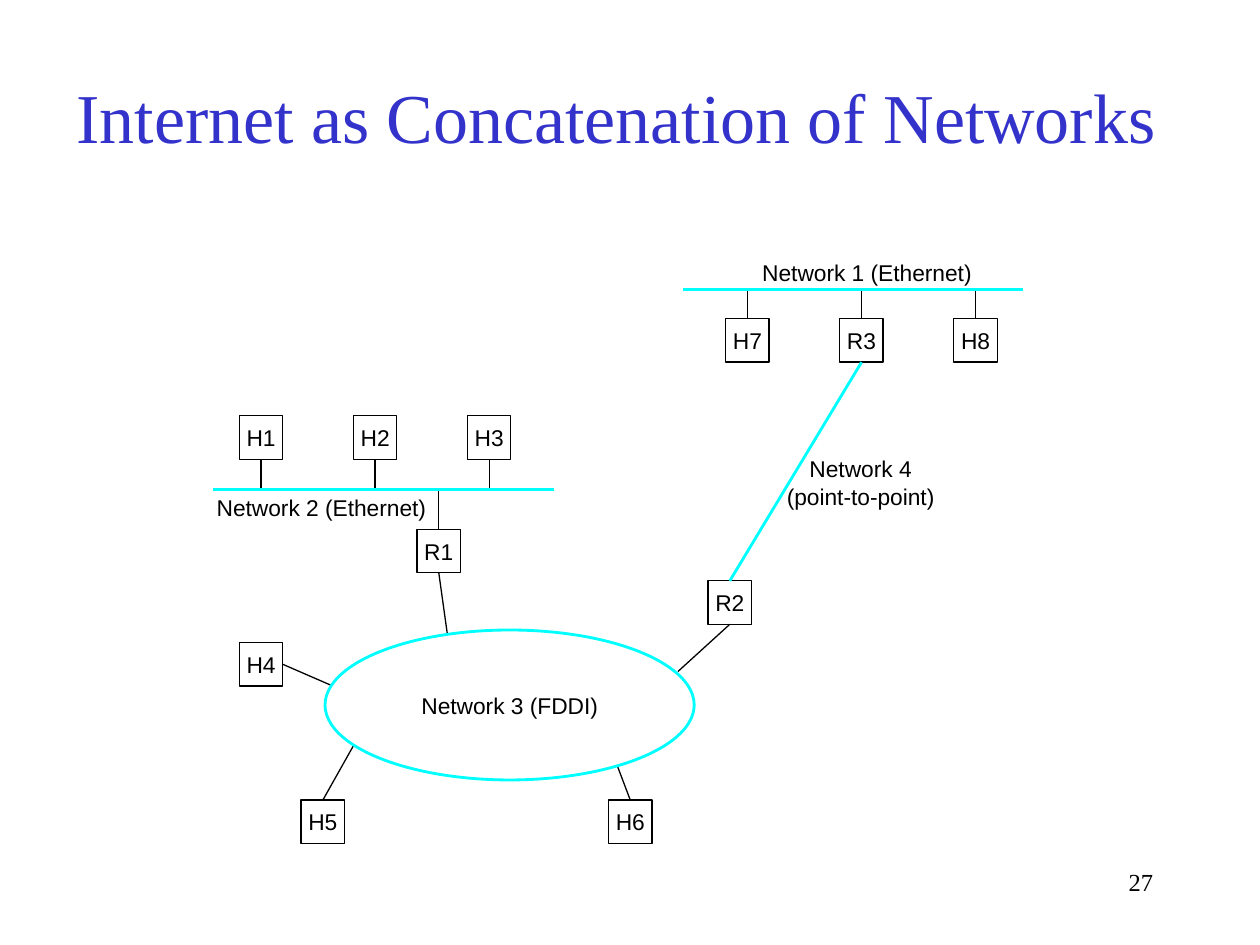
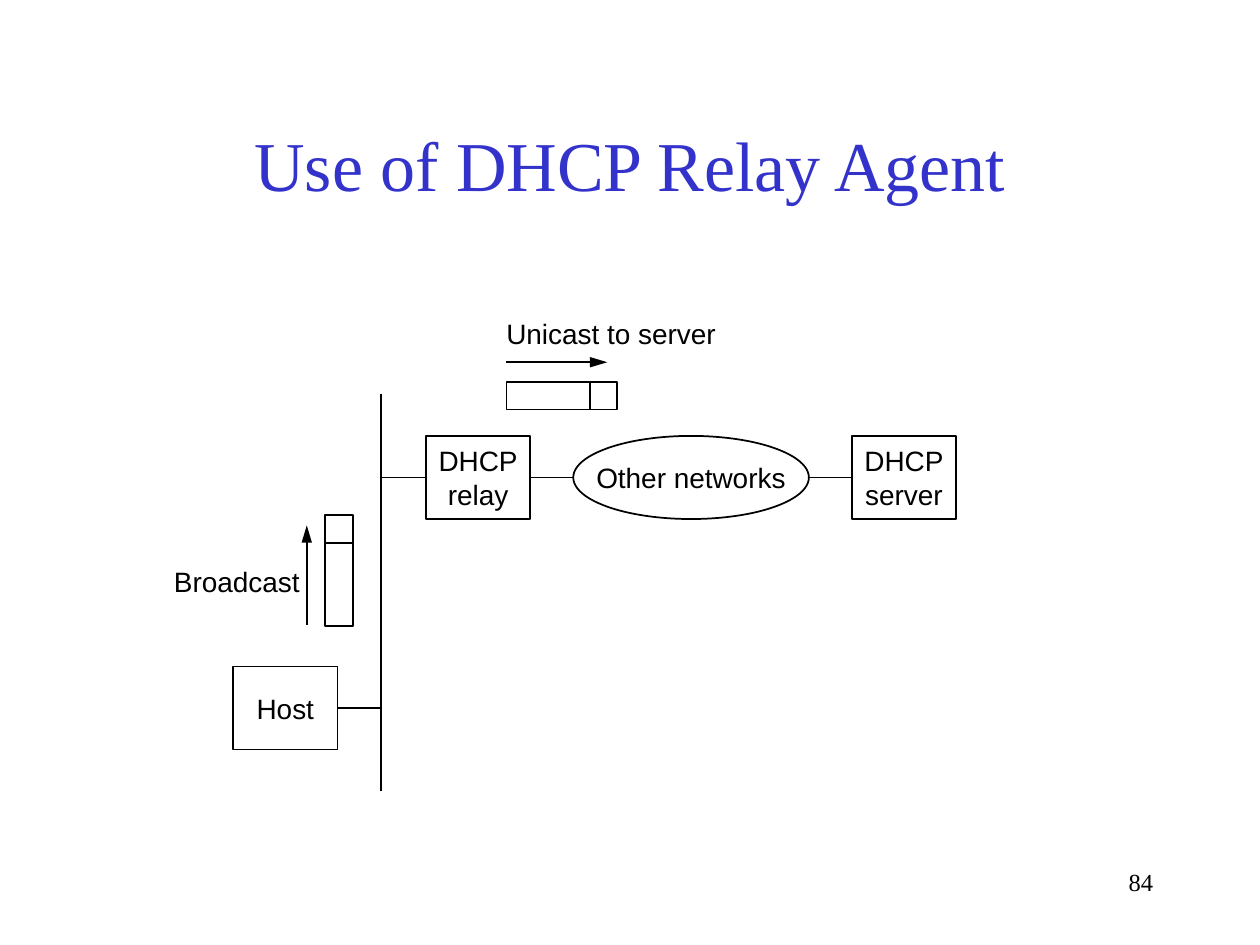
import dataclasses

import lxml.etree
import pptx
import pptx.dml.color
import pptx.enum.shapes
import pptx.enum.text
import pptx.oxml.ns
import pptx.util

RGB = pptx.dml.color.RGBColor
KIND = pptx.enum.shapes.MSO_SHAPE
ALIGN = pptx.enum.text.PP_ALIGN
MID = pptx.enum.text.MSO_ANCHOR.MIDDLE
TOP, LEFT, BASE, RIGHT = range(4)


@dataclasses.dataclass(frozen=True)
class Theme:
    ink: RGB = RGB(0, 0, 0)
    blue: RGB = RGB(0x33, 0x33, 0xCC)
    cyan: RGB = RGB(0, 0xFF, 0xFF)
    serif: str = "Times New Roman"
    sans: str = "Arial"
    head: int = 40
    foot: int = 14
    small: int = 13
    large: int = 16
    thin: float = 0.75
    mid: float = 1
    thick: float = 1.62


look = Theme()
deck = pptx.Presentation()
deck.slide_width = pptx.util.Inches(10)
deck.slide_height = pptx.util.Inches(7.5)
unit = deck.slide_width / 100


def draw(slide, kind, box, text="", size=look.small, color=look.ink, width=look.thin):
    place = [round(n * unit) for n in box]
    if kind is None:
        item = slide.shapes.add_textbox(*place)
    else:
        item = slide.shapes.add_shape(kind, *place)
        item.shadow.inherit = False
        item.fill.background()
        item.line.color.rgb = color
        item.line.width = pptx.util.Pt(width)
    frame = item.text_frame
    frame.margin_left = frame.margin_right = frame.margin_top = frame.margin_bottom = 0
    frame.vertical_anchor = MID
    frame.word_wrap = False
    frame.text = text
    for para in frame.paragraphs:
        para.alignment = ALIGN.CENTER
        para.font.name = look.sans
        para.font.size = pptx.util.Pt(size)
        para.font.color.rgb = look.ink
    return item


def link(slide, start, end, color=look.ink, width=look.thin, arrow=False):
    joins = [hasattr(tip[0], "shape_id") for tip in (start, end)]
    spots = [(0, 0) if join else tip for join, tip in zip(joins, (start, end))]
    line = slide.shapes.add_connector(
        pptx.enum.shapes.MSO_CONNECTOR.STRAIGHT,
        *[round(n * unit) for spot in spots for n in spot])
    if joins[0]:
        line.begin_connect(*start)
    if joins[1]:
        line.end_connect(*end)
    line.line.color.rgb = color
    line.line.width = pptx.util.Pt(width)
    if arrow:
        lxml.etree.SubElement(line.line._get_or_add_ln(), pptx.oxml.ns.qn("a:tailEnd"),
                              type="triangle", w="med", len="lg")
    lxml.etree.SubElement(line._element.spPr, pptx.oxml.ns.qn("a:effectLst"))


pages = []
for title, number, box in [
    ("Internet as Concatenation of Networks ", "27", (4.2, 4.2, 90.8, 10)),
    ("Use of DHCP Relay Agent", "84", (7.5, 6.7, 85, 12.5)),
]:
    page = deck.slides.add_slide(deck.slide_layouts[5])
    pages.append(page)
    head = page.shapes.title
    head.left, head.top, head.width, head.height = [round(n * unit) for n in box]
    foot = page.shapes.add_textbox(*[round(n * unit) for n in (71.7, 68.3, 20.8, 5)])
    for item, text, size, color, align in [
        (head, title, look.head, look.blue, ALIGN.CENTER),
        (foot, number, look.foot, look.ink, ALIGN.RIGHT),
    ]:
        frame = item.text_frame
        frame.text = text
        frame.word_wrap = True
        frame.auto_size = pptx.enum.text.MSO_AUTO_SIZE.NONE
        para = frame.paragraphs[0]
        para.alignment = align
        para.font.name = look.serif
        para.font.size = pptx.util.Pt(size)
        para.font.color.rgb = color
    head.text_frame.vertical_anchor = MID

nets, relay = pages

side, step = 3.45, 9.05
bus1, bus2 = 23, 38.85
spots = {"R1": (33.1, 42), "R2": (56.2, 46.1), "H4": (19, 51),
         "H5": (23.9, 63.5), "H6": (48.3, 63.5)}
for i, (low, high) in enumerate(zip(("H1", "H2", "H3"), ("H7", "R3", "H8"))):
    spots[low] = (19 + i * step, 33)
    spots[high] = (57.6 + i * step, 25.3)
nodes = {name: draw(nets, KIND.RECTANGLE, (*spot, side, side), name)
         for name, spot in spots.items()}

for names, edge, bus in [(("H1", "H2", "H3"), BASE, bus2),
                         (("R1",), TOP, bus2),
                         (("H7", "R3", "H8"), TOP, bus1)]:
    for name in names:
        link(nets, (nodes[name], edge), (spots[name][0] + side / 2, bus))

for name, edge, rim in [("R1", BASE, (35.5, 50.3)), ("R2", BASE, (53.8, 53.3)),
                        ("H4", RIGHT, (26.3, 54.4)), ("H5", TOP, (28.1, 59.1)),
                        ("H6", TOP, (49, 60.8))]:
    link(nets, (nodes[name], edge), rim)

for text, box in [("Network 1 (Ethernet)", (58.8, 20.5, 20, 2.2)),
                  ("Network 2 (Ethernet)", (15.5, 39.2, 20, 2.2)),
                  ("Network 4\n(point-to-point)", (60.8, 36.1, 15, 4.4))]:
    draw(nets, None, box, text)

draw(nets, KIND.OVAL, (25.8, 50, 29.3, 11.9), "Network 3 (FDDI)",
     color=look.cyan, width=look.thick)
for start, end in [((16.9, bus2), (44, bus2)), ((54.2, bus1), (81.2, bus1)),
                   ((nodes["R3"], BASE), (nodes["R2"], TOP))]:
    link(nets, start, end, look.cyan, look.thick)

wide, tall, cell, body = 8.3, 6.6, 2.2, 6.6
wire, row, base = 30.25, 34.6, 52.9
axis = row + tall / 2
parts = {}
for name, kind, box in [
    ("DHCP\nrelay", KIND.RECTANGLE, (33.8, row, wide, tall)),
    ("Other networks", KIND.OVAL, (45.5, row, 18.7, tall)),
    ("DHCP\nserver", KIND.RECTANGLE, (67.6, row, wide, tall)),
    ("Host", KIND.RECTANGLE, (18.5, base, wide, tall)),
    ("Unicast to server", None, (38.5, 25.1, 20, 2.7)),
    ("Broadcast", None, (12.8, 44.8, 12, 2.7)),
]:
    parts[name] = draw(relay, kind, box, name, look.large, width=look.mid)

for box in [(40.2, 30.3, body, cell), (40.2 + body, 30.3, cell, cell),
            (25.8, 43.1 - cell, cell, cell), (25.8, 43.1, cell, body)]:
    draw(relay, KIND.RECTANGLE, box, width=look.mid)

for start, end, arrow in [
    ((wire, 31.3), (wire, 62.8), False),
    ((wire, axis), (parts["DHCP\nrelay"], LEFT), False),
    ((parts["DHCP\nrelay"], RIGHT), (45.5, axis), False),
    ((64.2, axis), (parts["DHCP\nserver"], LEFT), False),
    ((parts["Host"], RIGHT), (wire, base + tall / 2), False),
    ((40.2, 28.75), (48.2, 28.75), True),
    ((24.35, 49.6), (24.35, 41.7), True),
]:
    link(relay, start, end, width=look.mid, arrow=arrow)

deck.save("out.pptx")
